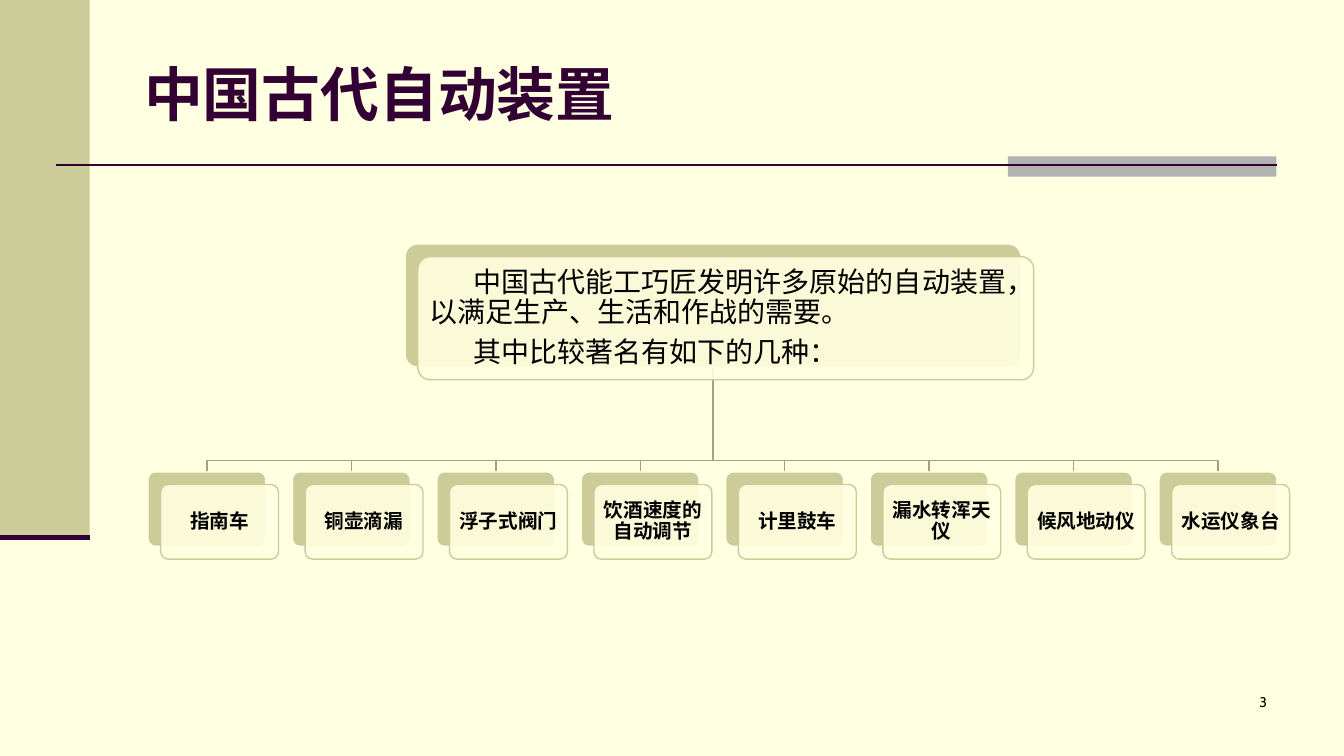
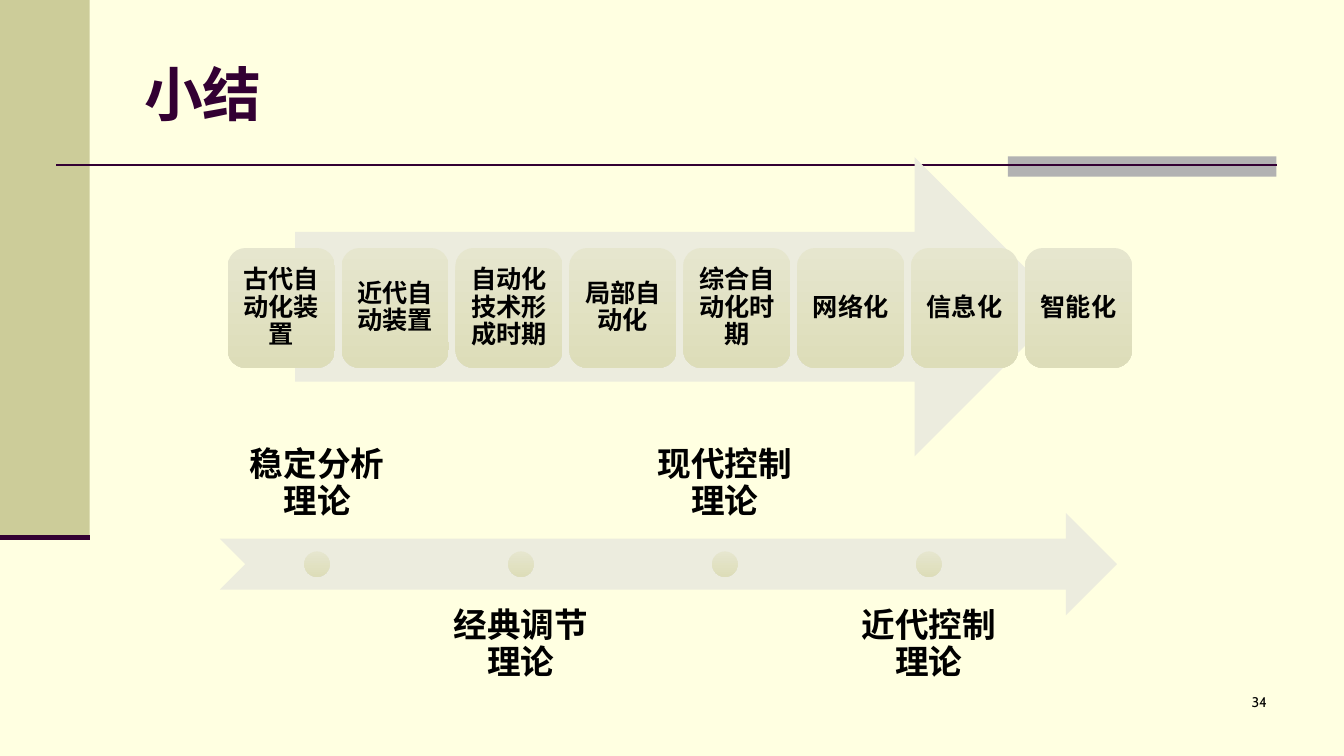
from lxml.etree import SubElement
from pptx import Presentation
from pptx.dml.color import RGBColor
from pptx.enum.shapes import MSO_CONNECTOR, MSO_SHAPE as SHAPE
from pptx.enum.text import MSO_ANCHOR as ANCHOR, PP_ALIGN as ALIGN
from pptx.oxml.ns import qn
from pptx.util import Cm, Pt

rgb = RGBColor.from_string
CREAM, KHAKI, GREY, PLUM = "FFFFE1", "CCCC99", "B2B2B2", "330033"
BRANCH, PALE_ARROW, BLACK = "A3A37B", "ECECDE", "000000"
GRADIENT = ("E6E6CE", "DDDDB9")
CJK = "Noto Sans CJK SC"


def add_box(slide, kind, at, fill, line=None, corner=None, opacity=None):
    """Add a preset shape at (left, top, width, height) in cm; a pair of fills is a gradient."""
    box = slide.shapes.add_shape(kind, *[Cm(length) for length in at])
    box.shadow.inherit = False
    if isinstance(fill, tuple):
        box.fill.gradient()
        box.fill.gradient_angle = 270
        for stop, color in zip(box.fill.gradient_stops, fill):
            stop.color.rgb = rgb(color)
    else:
        box.fill.solid()
        box.fill.fore_color.rgb = rgb(fill)
    if opacity:
        color_xml = box._element.spPr.find(qn("a:solidFill"))[0]
        SubElement(color_xml, qn("a:alpha"), val=str(opacity * 1000))
    if line:
        box.line.color.rgb = rgb(line)
        box.line.width = Pt(1)
    else:
        box.line.fill.background()
    if corner:
        box.adjustments[0] = corner
    return box


def write(box, paragraphs, size, color=BLACK, font=CJK, bold=True, align=ALIGN.CENTER,
          anchor=ANCHOR.MIDDLE, margin=None, spacing=0.9, indent=0):
    frame = box.text_frame
    frame.word_wrap = True
    frame.vertical_anchor = anchor
    if margin is not None:
        frame.margin_left = frame.margin_right = Cm(margin)
        frame.margin_top = frame.margin_bottom = Cm(margin)
    for index, text in enumerate(paragraphs):
        paragraph = frame.add_paragraph() if index else frame.paragraphs[0]
        paragraph.alignment = align
        paragraph.line_spacing = spacing
        if index:
            paragraph.space_before = Pt(size * 0.35)
        if indent:
            paragraph._p.get_or_add_pPr().set("indent", str(Cm(indent)))
        run = paragraph.add_run()
        run.text = text
        run.font.size = Pt(size)
        run.font.bold = bold
        run.font.name = font
        run.font.color.rgb = rgb(color)
        SubElement(run._r.get_or_add_rPr(), qn("a:ea"), typeface=CJK)


prs = Presentation()
prs.slide_width, prs.slide_height = Cm(33.87), Cm(19.05)
prs.slide_master.background.fill.solid()
prs.slide_master.background.fill.fore_color.rgb = rgb(CREAM)

# Frame shared by both slides
slides = []
for title, number in [("中国古代自动装置", "3"), ("小结", "34")]:
    slide = prs.slides.add_slide(prs.slide_layouts[6])
    add_box(slide, SHAPE.RECTANGLE, (0, 0, 2.26, 13.55), KHAKI)
    add_box(slide, SHAPE.RECTANGLE, (25.4, 3.94, 6.77, 0.51), GREY)
    for left, right, y, weight in [(1.42, 32.18, 4.15, 1.5), (0, 2.26, 13.55, 3.5)]:
        rule = slide.shapes.add_connector(
            MSO_CONNECTOR.STRAIGHT, Cm(left), Cm(y), Cm(right), Cm(y))
        rule.line.color.rgb = rgb(PLUM)
        rule.line.width = Pt(weight)
        SubElement(rule._element.spPr, qn("a:effectLst"))
    heading = slide.shapes.add_textbox(Cm(3.38), Cm(0.76), Cm(28.78), Cm(3.18))
    write(heading, [title], 42, PLUM, align=ALIGN.LEFT, spacing=1)
    page_number = slide.shapes.add_textbox(Cm(25.12), Cm(17.35), Cm(7.06), Cm(1.27))
    write(page_number, [number], 10, font="Cabin", bold=False, align=ALIGN.RIGHT,
          anchor=ANCHOR.TOP, spacing=1)
    slides.append(slide)
devices_slide, summary_slide = slides

# Ancient devices: one introduction branching into eight cards
intro = ["中国古代能工巧匠发明许多原始的自动装置，以满足生产、生活和作战的需要。",
         "其中比较著名有如下的几种："]
devices = ["指南车", "铜壶滴漏", "浮子式阀门", "饮酒速度的自动调节",
           "计里鼓车", "漏水转浑天仪", "候风地动仪", "水运仪象台"]
INTRO_AT = (10.21, 6.15, 15.52, 3.1)
CARD_LEFT, CARD_TOP, CARD_WIDTH, CARD_HEIGHT, CARD_PITCH = 3.73, 11.89, 2.97, 1.88, 3.64
FRONT_OFFSET = 0.32
BRANCH_Y = 11.61

trunk_x = Cm(INTRO_AT[0] + INTRO_AT[2] / 2)
trunk_top = Cm(INTRO_AT[1] + INTRO_AT[3])
cards = [(INTRO_AT, intro, dict(size=20, bold=False, align=ALIGN.LEFT, margin=0.2, indent=1.11))]
for index, device in enumerate(devices):
    left = CARD_LEFT + index * CARD_PITCH
    card_x = Cm(left + CARD_WIDTH / 2)
    outline = devices_slide.shapes.build_freeform(trunk_x, trunk_top)
    outline.add_line_segments(
        [(trunk_x, Cm(BRANCH_Y)), (card_x, Cm(BRANCH_Y)), (card_x, Cm(CARD_TOP))], close=False)
    branch = outline.convert_to_shape()
    branch.shadow.inherit = False
    branch.fill.background()
    branch.line.color.rgb = rgb(BRANCH)
    branch.line.width = Pt(1)
    cards.append(((left, CARD_TOP, CARD_WIDTH, CARD_HEIGHT), [device],
                  dict(size=14, font="Arial", margin=0.15)))

for at, paragraphs, style in cards:
    left, top, width, height = at
    add_box(devices_slide, SHAPE.ROUNDED_RECTANGLE, at, KHAKI, CREAM, corner=0.1)
    front = add_box(devices_slide, SHAPE.ROUNDED_RECTANGLE,
                    (left + FRONT_OFFSET, top + FRONT_OFFSET, width, height),
                    CREAM, KHAKI, corner=0.1, opacity=90)
    write(front, paragraphs, **style)

# Summary: stages of automation
stages = ["古代自动化装置", "近代自动装置", "自动化技术形成时期", "局部自动化",
          "综合自动化时期", "网络化", "信息化", "智能化"]
add_box(summary_slide, SHAPE.RIGHT_ARROW, (7.44, 3.96, 19.38, 7.54), PALE_ARROW)
for index, stage in enumerate(stages):
    tile = add_box(summary_slide, SHAPE.ROUNDED_RECTANGLE,
                   (5.74 + index * 2.87, 6.25, 2.7, 3.02), GRADIENT)
    write(tile, [stage], 18, margin=0.18)

# Summary: control theories, alternately above and below the timeline
theories = ["稳定分析理论", "经典调节理论", "现代控制理论", "近代控制理论"]
TIMELINE_LEFT, TIMELINE_TOP, TIMELINE_HEIGHT = 5.54, 12.93, 2.57
LABEL_WIDTH, LABEL_PITCH, DOT = 4.9, 5.14, 0.64
add_box(summary_slide, SHAPE.NOTCHED_RIGHT_ARROW,
        (TIMELINE_LEFT, TIMELINE_TOP, 22.61, TIMELINE_HEIGHT), PALE_ARROW)
for index, theory in enumerate(theories):
    left = TIMELINE_LEFT + index * LABEL_PITCH
    top, anchor = (14.86, ANCHOR.TOP) if index % 2 else (11.02, ANCHOR.BOTTOM)
    label = summary_slide.shapes.add_textbox(
        Cm(left), Cm(top), Cm(LABEL_WIDTH), Cm(TIMELINE_HEIGHT))
    write(label, [theory], 24, anchor=anchor, margin=0.48)
    add_box(summary_slide, SHAPE.OVAL,
            (left + (LABEL_WIDTH - DOT) / 2, TIMELINE_TOP + (TIMELINE_HEIGHT - DOT) / 2, DOT, DOT),
            GRADIENT)

prs.save("out.pptx")
